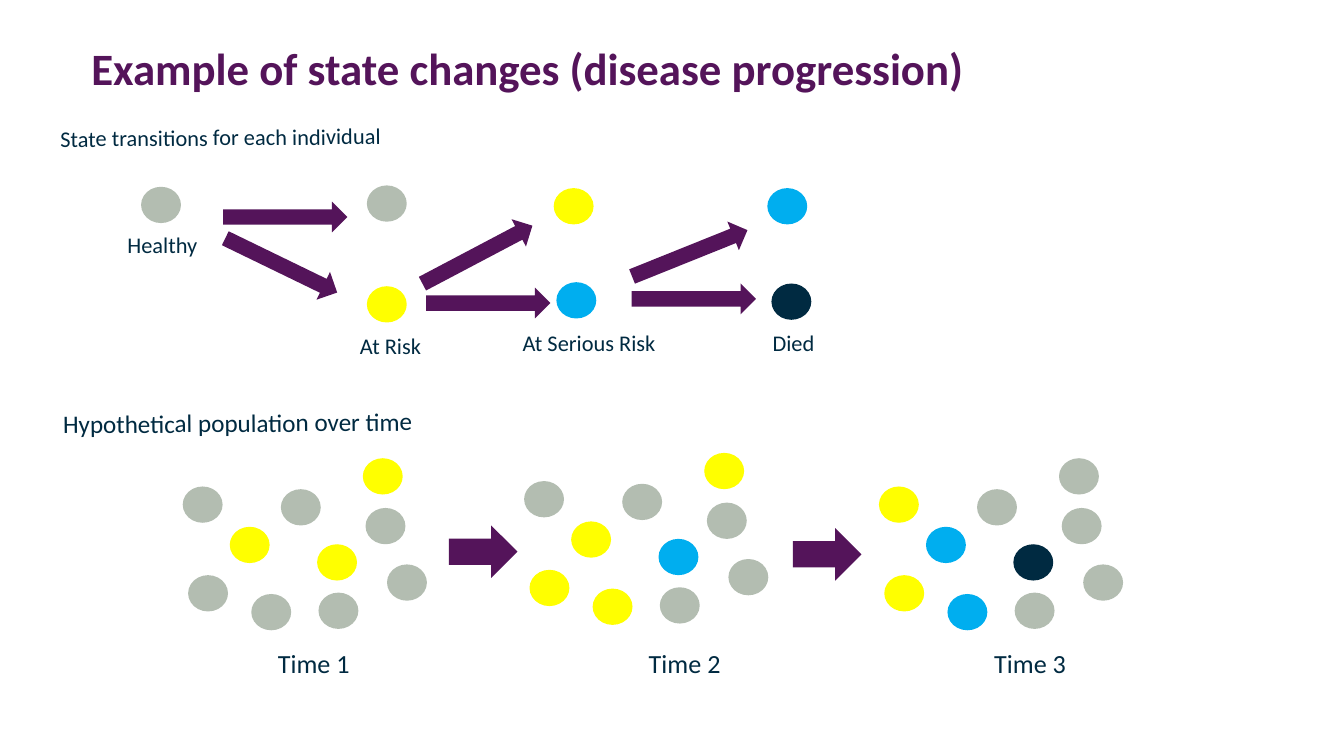
from pptx import Presentation
from pptx.dml.color import RGBColor
from pptx.enum.shapes import MSO_SHAPE
from pptx.enum.text import MSO_ANCHOR, MSO_AUTO_SIZE, PP_ALIGN
from pptx.util import Inches, Pt

PLUM = RGBColor(0x54, 0x14, 0x5A)
NAVY = RGBColor(0x00, 0x2A, 0x41)
GREY = RGBColor(0xB3, 0xBD, 0xB1)
GOLD = RGBColor(0xFF, 0xFF, 0x00)
BLUE = RGBColor(0x00, 0xAE, 0xEF)
STATES = {"G": GREY, "Y": GOLD, "B": BLUE, "D": NAVY}

WIDTH = Inches(10)
HEIGHT = WIDTH * 9 // 16
CELL = WIDTH // 100
DOT = (2.97, 2.7)
SPOTS = [(3.5, 5.1), (5.1, 10.1), (13.6, 3.7), (10, 6.4), (10.1, 10),
         (7.3, 2.3), (15.2, 7.9), (13.4, 0), (0.4, 8.7), (0, 2.1)]


def apply(thing, values):
    for name, value in values.items():
        setattr(thing, name, value)


def grid(box, x, y, w, h):
    return [round(n * CELL) for n in (box[0] + x, box[1] + y, w, h)]


def style(frame, text, size, color, bold=False, align=PP_ALIGN.LEFT):
    line = frame.paragraphs[0]
    line.alignment = align
    run = line.add_run()
    run.text = text
    apply(run.font, {"name": "Calibri", "size": Pt(size), "bold": bold})
    run.font.color.rgb = color


def shape(slide, kind, place, color, turn=0):
    item = slide.shapes.add_shape(kind, *place)
    item.shadow.inherit = False
    item.fill.solid()
    item.fill.fore_color.rgb = color
    item.line.fill.background()
    item.rotation = turn


def dot(slide, box, x, y, state):
    shape(slide, MSO_SHAPE.OVAL, grid(box, x, y, *DOT), STATES[state])


def arrow(slide, box, x, y, w, h, turn=0):
    shape(slide, MSO_SHAPE.RIGHT_ARROW, grid(box, x, y, w, h), PLUM, turn)


def label(slide, place, text, size, values, turn=0, align=PP_ALIGN.LEFT):
    item = slide.shapes.add_textbox(*place)
    item.rotation = turn
    apply(item.text_frame, values)
    style(item.text_frame, text, size, NAVY, align=align)


def title(slide, box):
    item = slide.shapes.title
    names = ("left", "top", "width", "height")
    apply(item, dict(zip(names, grid(box, 0, 0, 86.4, 9.4))))
    apply(item.text_frame, {
        "margin_left": 0, "margin_right": 0, "margin_top": 0,
        "margin_bottom": 0, "word_wrap": True,
        "vertical_anchor": MSO_ANCHOR.TOP, "auto_size": MSO_AUTO_SIZE.NONE})
    style(item.text_frame, "Example of state changes (disease progression)",
          24, PLUM, True)


def heading(slide, box, text, w, h, size):
    label(slide, grid(box, 0, 0, w, h), text, size,
          {"word_wrap": True, "auto_size": MSO_AUTO_SIZE.SHAPE_TO_FIT_TEXT},
          359.5)


def states(slide, box):
    for x, y, state in [(2, 0.1, "G"), (18.8, 0, "G"), (18.8, 7.5, "Y"),
                        (32.7, 0.2, "Y"), (32.9, 7.2, "B"),
                        (48.6, 0.2, "B"), (48.9, 7.3, "D")]:
        dot(slide, box, x, y, state)
    for x, y, turn in [(8.1, 1.2, 0), (7.8, 4.8, 25.9), (22.4, 4, 332.2),
                       (23.2, 7.6, 0), (38.2, 3.9, 338.1), (38.5, 7.3, 0)]:
        arrow(slide, box, x, y, 9.25, 2.3, turn)
    for text, x, y, w in [("Healthy", 0, 2.9, 7.3), ("At Risk", 17.3, 10.4, 6.6),
                          ("At Serious Risk", 29.4, 10.2, 12),
                          ("Died", 48, 10.2, 5.2)]:
        label(slide, grid(box, x, y, w, 3), text, 12,
              {"word_wrap": False,
               "auto_size": MSO_AUTO_SIZE.SHAPE_TO_FIT_TEXT})


def crowd(slide, box, marks, text, x, y):
    for spot, state in zip(SPOTS, marks):
        dot(slide, box, *spot, state)
    label(slide, grid(box, x, y, 7.7, 3.3), text, 14,
          {"margin_left": 0, "margin_right": 0, "word_wrap": True},
          align=PP_ALIGN.CENTER)


def main():
    deck = Presentation()
    apply(deck, {"slide_width": WIDTH, "slide_height": HEIGHT})
    slide = deck.slides.add_slide(deck.slide_layouts[5])
    title(slide, (6.8, 3))
    heading(slide, (3.5, 8.7), "State transitions for each individual",
            26.7, 3, 12)
    states(slide, (8.5, 13.8))
    heading(slide, (3.7, 29.8), "Hypothetical population over time",
            30.9, 3.3, 13.5)
    crowd(slide, (13.6, 34.1), "YGGYGGGYGG", "Time 1", 5.9, 13.6)
    crowd(slide, (39, 33.7), "YYGBGGGYYG", "Time 2", 8.1, 14)
    crowd(slide, (65.4, 34.1), "BBGDGGGGYY", "Time 3", 7.4, 13.6)
    for spot in [(33.4, 39.1), (59, 39.3)]:
        arrow(slide, spot, 0, 0, 5.1, 3.9)
    deck.save("out.pptx")


if __name__ == "__main__":
    main()
